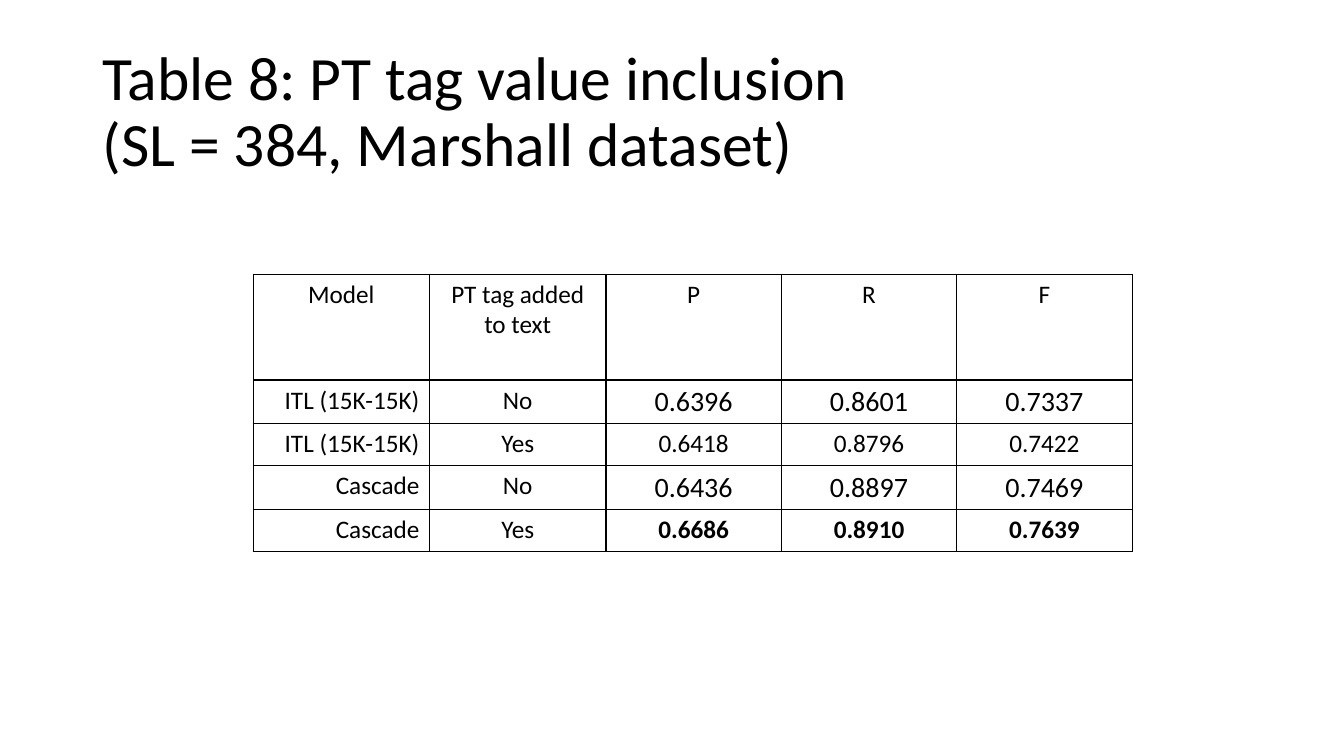
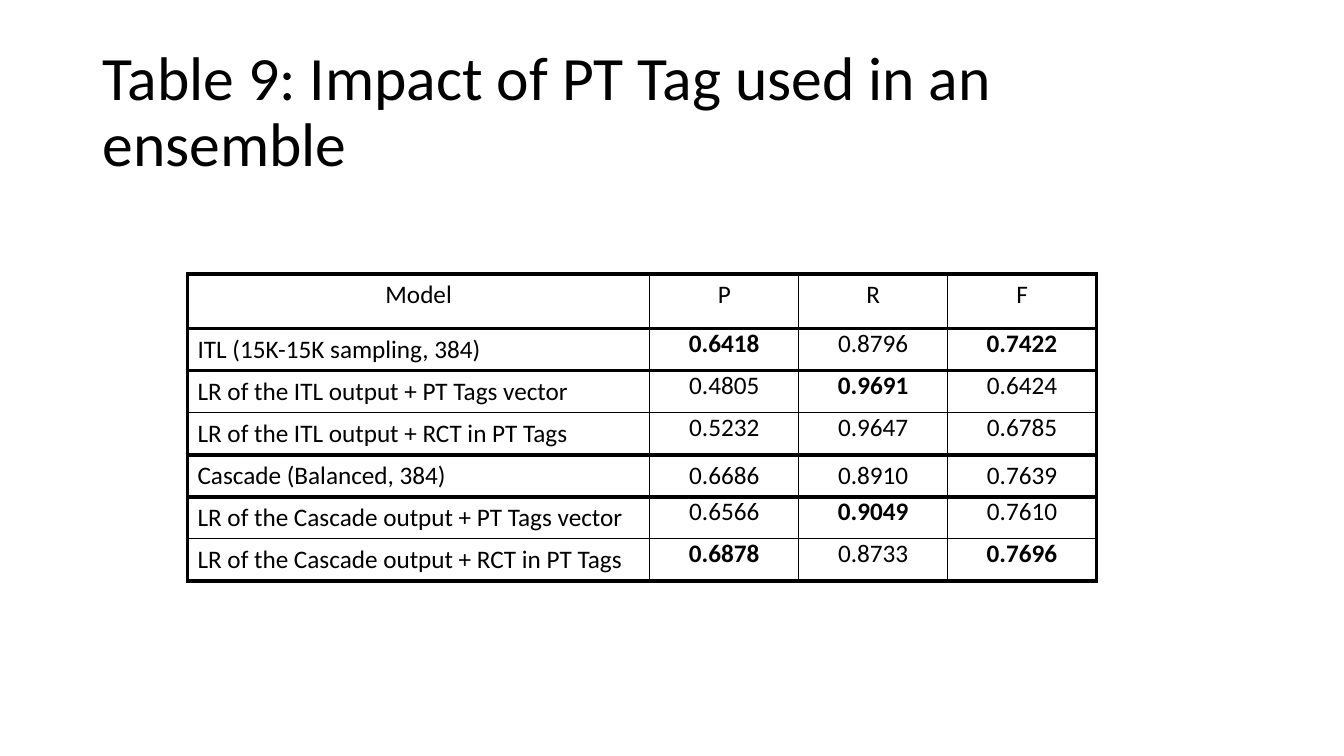
import lxml.etree
import pptx
import pptx.dml.color
import pptx.enum.text
import pptx.oxml.ns
import pptx.util

INK = pptx.dml.color.RGBColor(0, 0, 0)
FONT = "Calibri"
SLIDE_WIDTH = pptx.util.Inches(13.33)
SLIDE_HEIGHT = pptx.util.Inches(7.5)
TABLE_TOP = 36.27
THIN, MEDIUM, THICK = 1, 2, 3

ALIGN = pptx.enum.text.PP_ALIGN
ANCHOR = pptx.enum.text.MSO_ANCHOR

TAG_VALUES = [
    ("Model", "PT tag added to text", "P", "R", "F"),
    ("ITL (15K-15K)", "No", "0.6396", "0.8601", "0.7337"),
    ("ITL (15K-15K)", "Yes", "0.6418", "0.8796", "0.7422"),
    ("Cascade", "No", "0.6436", "0.8897", "0.7469"),
    ("Cascade", "Yes", "0.6686", "0.8910", "0.7639"),
]
ENSEMBLE = [
    ("Model", "P", "R", "F"),
    ("ITL (15K-15K sampling, 384)", "0.6418", "0.8796", "0.7422"),
    ("LR of the ITL output + PT Tags vector", "0.4805", "0.9691", "0.6424"),
    ("LR of the ITL output + RCT in PT Tags", "0.5232", "0.9647", "0.6785"),
    ("Cascade (Balanced, 384)", "0.6686", "0.8910", "0.7639"),
    ("LR of the Cascade output + PT Tags vector", "0.6566", "0.9049", "0.7610"),
    ("LR of the Cascade output + RCT in PT Tags", "0.6878", "0.8733", "0.7696"),
]
ENSEMBLE_BEST = {(1, 1), (1, 3), (2, 2), (5, 2), (6, 1), (6, 3)}
CASCADE_ROW = 4


def across(percent):
    return round(SLIDE_WIDTH * percent / 100)


def down(percent):
    return round(SLIDE_HEIGHT * percent / 100)


def style_paragraph(paragraph, size, align=ALIGN.LEFT, bold=False):
    paragraph.alignment = align
    for run in paragraph.runs:
        run.font.name = FONT
        run.font.size = pptx.util.Pt(size)
        run.font.bold = bold
        run.font.color.rgb = INK


def add_titled_slide(deck, title):
    slide = deck.slides.add_slide(deck.slide_layouts[6])
    heading = slide.shapes.add_textbox(
        across(6.9), down(5.33), across(86.27), down(19.33)
    ).text_frame
    heading.word_wrap = True
    heading.vertical_anchor = ANCHOR.MIDDLE
    heading.text = title
    heading.paragraphs[0].line_spacing = 0.9
    style_paragraph(heading.paragraphs[0], 44)
    return slide


def set_borders(cell, left, right, top, bottom):
    properties = cell._tc.get_or_add_tcPr()
    for side, width in zip("LRTB", (left, right, top, bottom)):
        line = lxml.etree.SubElement(
            properties, pptx.oxml.ns.qn(f"a:ln{side}"), w=str(pptx.util.Pt(width))
        )
        fill = lxml.etree.SubElement(line, pptx.oxml.ns.qn("a:solidFill"))
        lxml.etree.SubElement(fill, pptx.oxml.ns.qn("a:srgbClr"), val=str(INK))


def add_ruled_table(slide, entries, left, widths, heights, column_rules, row_rules, style_cell):
    table = slide.shapes.add_table(
        len(entries), len(widths),
        across(left), down(TABLE_TOP), across(sum(widths)), down(sum(heights)),
    ).table
    table.first_row = False
    table.horz_banding = False
    for column, width in zip(table.columns, widths):
        column.width = across(width)
    for row, height in zip(table.rows, heights):
        row.height = down(height)
    for r, entry in enumerate(entries):
        for c, text in enumerate(entry):
            cell = table.cell(r, c)
            cell.text_frame.text = text
            set_borders(cell, *column_rules[c:c + 2], *row_rules[r:r + 2])
            cell.fill.background()
            style_cell(cell, r, c)


def style_tag_value(cell, r, c):
    is_score = r > 0 and c > 1
    style_paragraph(
        cell.text_frame.paragraphs[0],
        20 if is_score and r % 2 else 18,
        ALIGN.RIGHT if r > 0 and c == 0 else ALIGN.CENTER,
        is_score and r == len(TAG_VALUES) - 1,
    )


def style_ensemble(cell, r, c):
    is_model = r > 0 and c == 0
    style_paragraph(
        cell.text_frame.paragraphs[0],
        18,
        ALIGN.LEFT if is_model else ALIGN.CENTER,
        (r, c) in ENSEMBLE_BEST,
    )
    if is_model or r == CASCADE_ROW:
        cell.vertical_anchor = ANCHOR.MIDDLE
    elif r > 0:
        cell.margin_left = cell.margin_right = pptx.util.Inches(0.07)
        cell.margin_top = cell.margin_bottom = 0


def main():
    deck = pptx.Presentation()
    deck.slide_width = SLIDE_WIDTH
    deck.slide_height = SLIDE_HEIGHT

    add_ruled_table(
        add_titled_slide(deck, "Table 8: PT tag value inclusion \v(SL = 384, Marshall dataset)"),
        TAG_VALUES,
        left=18.83,
        widths=[13.13] * 2 + [13.05] * 3,
        heights=[14] + [5.56] * 4,
        column_rules=[THIN] * 6,
        row_rules=[THIN] * 6,
        style_cell=style_tag_value,
    )
    add_ruled_table(
        add_titled_slide(deck, "Table 9: Impact of PT Tag used in an ensemble"),
        ENSEMBLE,
        left=13.95,
        widths=[34.4] + [11.08] * 3,
        heights=[7.2] + [5.56] * 6,
        column_rules=[THICK, THIN, THIN, THIN, THICK],
        row_rules=[THICK, THICK, MEDIUM, THIN, THICK, THICK, THIN, THICK],
        style_cell=style_ensemble,
    )
    deck.save("out.pptx")


if __name__ == "__main__":
    main()
